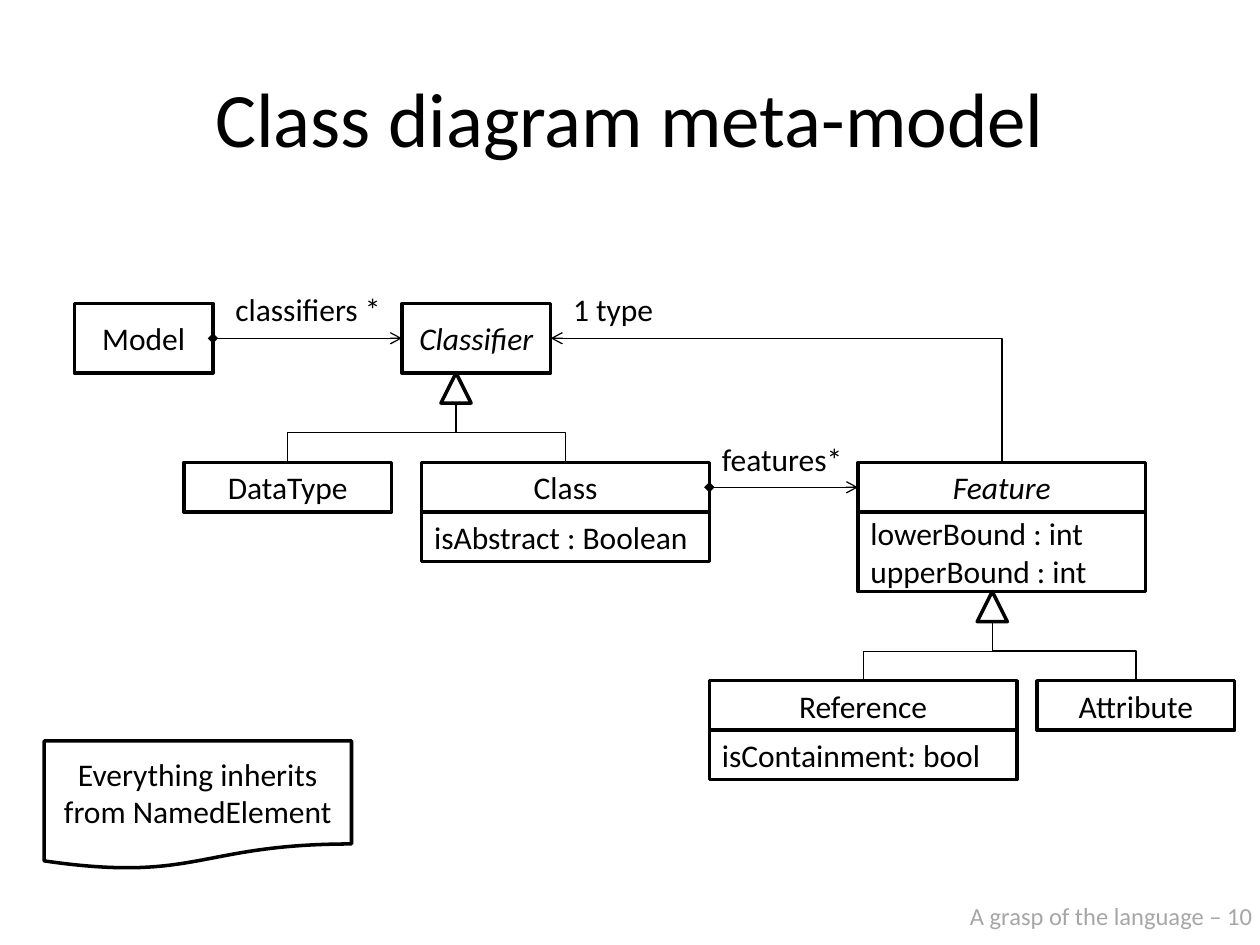
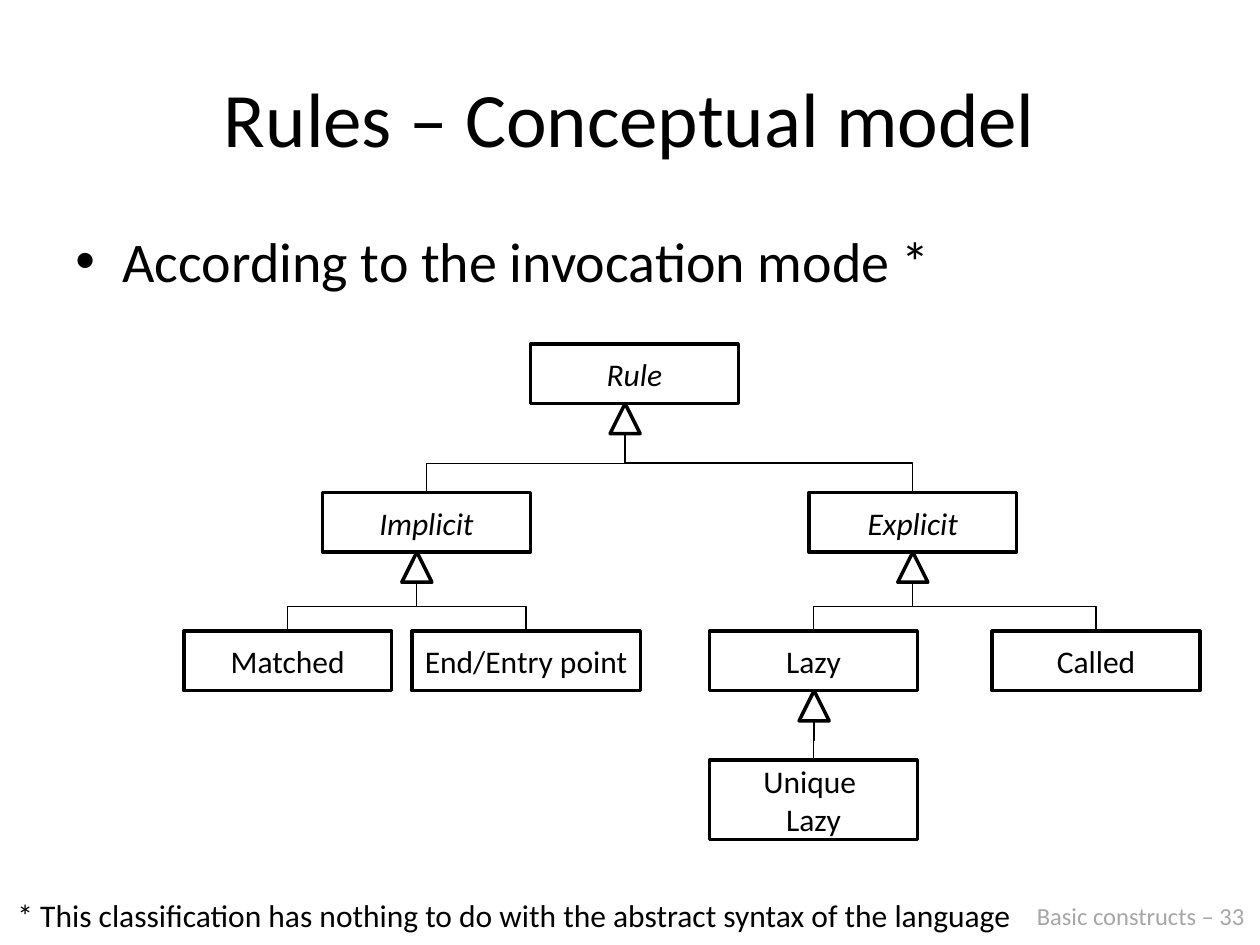
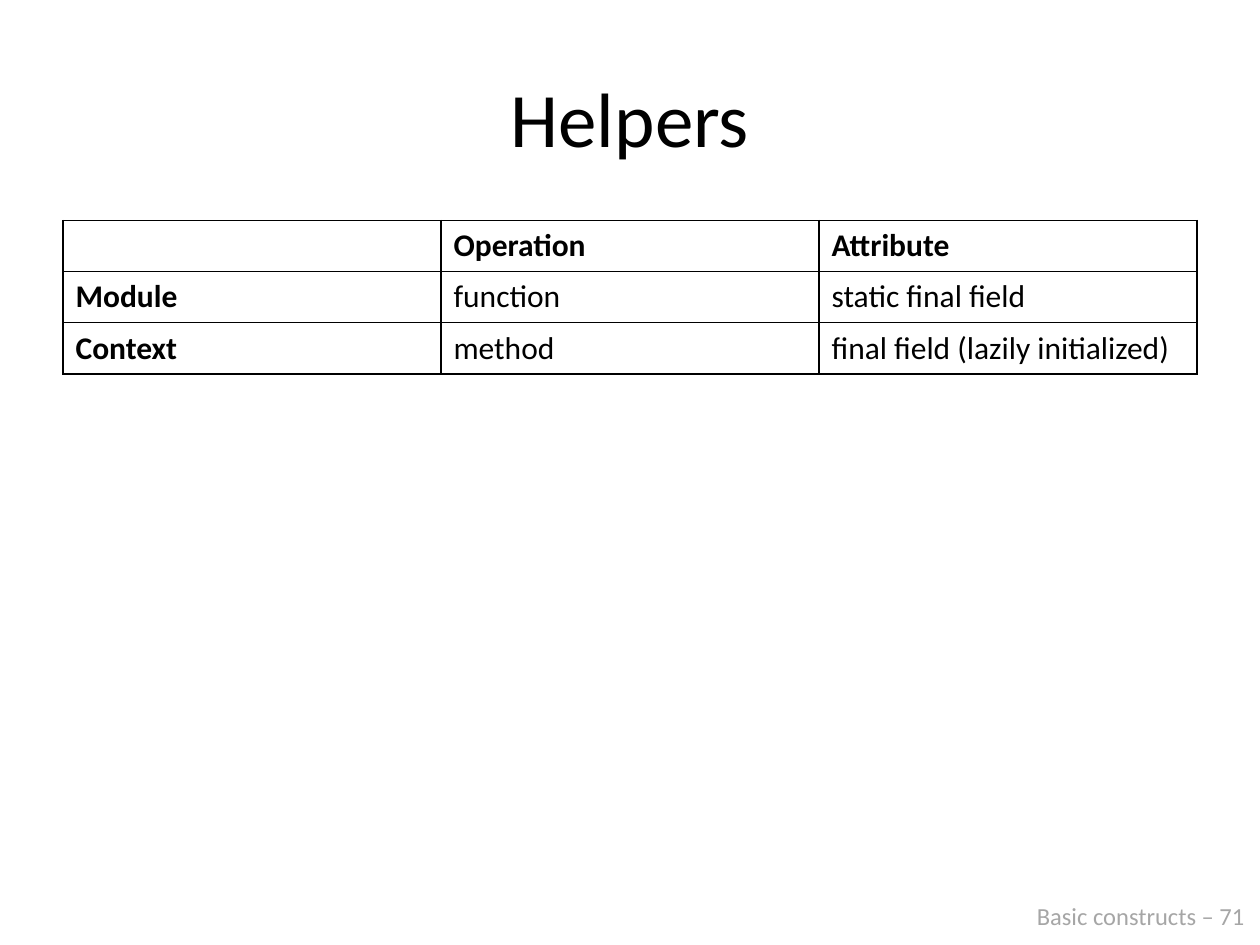
import pptx
import pptx.dml.color
import pptx.enum.shapes
import pptx.enum.text
import pptx.oxml
import pptx.oxml.ns
import pptx.util
from lxml import etree

Pt = pptx.util.Pt
qn = pptx.oxml.ns.qn
SHAPE = pptx.enum.shapes.MSO_SHAPE
CONNECTOR = pptx.enum.shapes.MSO_CONNECTOR
ALIGN = pptx.enum.text.PP_ALIGN
ANCHOR = pptx.enum.text.MSO_ANCHOR

BLACK = pptx.dml.color.RGBColor(0x00, 0x00, 0x00)
WHITE = pptx.dml.color.RGBColor(0xFF, 0xFF, 0xFF)
GREY = pptx.dml.color.RGBColor(0xA6, 0xA6, 0xA6)
FONT = "Calibri"
TRIANGLE = 17.2

# name: (left, top, width, height, italic, attributes, attributes height)
META_CLASSES = {
    "Model": (42.5, 173.5, 79.2, 39.6, False, [], 0),
    "Classifier": (229.7, 173.5, 85, 39.6, True, [], 0),
    "DataType": (105, 264.3, 118.8, 28.3, False, [], 0),
    "Class": (241, 264.3, 164.4, 28.3, False, ["isAbstract : Boolean"], 28.3),
    "Feature": (490.3, 264.3, 164.4, 28.3, True,
                ["lowerBound : int", "upperBound : int"], 45.4),
    "Reference": (405.4, 389, 175.7, 28.3, False, ["isContainment: bool"], 28.3),
    "Attribute": (592.6, 389, 113, 28.3, False, [], 0),
}
META_INHERITANCE = [
    ("Classifier", 260.6, ["DataType", "Class"]),
    ("Feature", 567, ["Reference", "Attribute"]),
]
COMPOSITIONS = [("Model", "Classifier"), ("Class", "Feature")]
ROLES = [
    ("classifiers *", 127.4, 162, 98.6),
    ("features*", 405.4, 247.7, 84.2),
    ("1 type", 320.4, 162, 61.2),
]
NOTE = ["Everything inherits", "from NamedElement"]

RULE_CLASSES = {
    "Rule": (303.1, 196.6, 118.8, 34, True, [], 0),
    "Implicit": (184.3, 281.5, 118.8, 34, True, [], 0),
    "Explicit": (462.2, 281.5, 118.8, 34, True, [], 0),
    "Matched": (105, 360.7, 118.8, 34, False, [], 0),
    "End/Entry point": (235.3, 360.7, 130.6, 34, False, [], 0),
    "Lazy": (405.4, 360.7, 118.8, 34, False, [], 0),
    "Called": (566.9, 360.7, 118.8, 34, False, [], 0),
    "Unique \nLazy": (405.4, 434.4, 118.8, 45.4, False, [], 0),
}
RULE_INHERITANCE = [
    ("Rule", 357.2, ["Implicit", "Explicit"]),
    ("Implicit", 238.2, ["Matched", "End/Entry point"]),
    ("Explicit", 521.6, ["Lazy", "Called"]),
    ("Lazy", 465.2, ["Unique \nLazy"]),
]
RULE_BULLET = "According to the invocation mode *"
RULE_FOOTNOTE = ("* This classification has nothing to do with "
                 "the abstract syntax of the language")

HELPERS = [
    ["", "Operation", "Attribute"],
    ["Module", "function", "static final field"],
    ["Context", "method", "final field (lazily initialized)"],
]


def write(tf, lines, size=18, color=BLACK, align=ALIGN.LEFT, italic=False, bold=False):
    for i, line in enumerate(lines):
        p = tf.paragraphs[0] if i == 0 else tf.add_paragraph()
        p.alignment = align
        r = p.add_run()
        r.text = line
        r.font.name = FONT
        r.font.size = Pt(size)
        r.font.color.rgb = color
        r.font.italic = italic
        r.font.bold = bold


def add_text(s, text, x, y, w, h, wrap=False, **style):
    tf = s.shapes.add_textbox(Pt(x), Pt(y), Pt(w), Pt(h)).text_frame
    tf.word_wrap = wrap
    if not wrap:
        tf.auto_size = pptx.enum.text.MSO_AUTO_SIZE.SHAPE_TO_FIT_TEXT
    write(tf, [text], **style)
    return tf


def add_outline(s, kind, x, y, w, h, lines=(), **style):
    sp = s.shapes.add_shape(kind, Pt(x), Pt(y), Pt(w), Pt(h))
    sp.shadow.inherit = False
    sp.fill.solid()
    sp.fill.fore_color.rgb = WHITE
    sp.line.color.rgb = BLACK
    sp.line.width = Pt(2)
    sp.text_frame.vertical_anchor = ANCHOR.MIDDLE
    write(sp.text_frame, lines, **style)


def add_line(s, kind, x1, y1, x2, y2, head=None, tail=None):
    c = s.shapes.add_connector(kind, Pt(x1), Pt(y1), Pt(x2), Pt(y2))
    c.line.color.rgb = BLACK
    c.line.width = Pt(0.75)
    ln = c.line._get_or_add_ln()
    for tag, end in (("a:headEnd", head), ("a:tailEnd", tail)):
        if end:
            etree.SubElement(ln, qn(tag)).set("type", end)
    spPr = c._element.spPr
    etree.SubElement(spPr, qn("a:effectLst"))
    return spPr


def add_upward_elbow(s, x1, y1, x2, y2, tail=None, preset="bentConnector3"):
    cx, cy = (x1 + x2) / 2, (y1 + y2) / 2
    half_w, half_h = (y1 - y2) / 2, (x1 - x2) / 2
    spPr = add_line(s, CONNECTOR.ELBOW, cx - half_w, cy + half_h,
                    cx + half_w, cy - half_h, tail=tail)
    spPr.find(qn("a:xfrm")).set("rot", "16200000")
    spPr.find(qn("a:prstGeom")).set("prst", preset)


def add_classes(s, classes, inheritance):
    for name, (x, y, w, h, italic, attributes, attributes_h) in classes.items():
        add_outline(s, SHAPE.RECTANGLE, x, y, w, h, name.split("\n"),
                    align=ALIGN.CENTER, italic=italic)
        if attributes:
            add_outline(s, SHAPE.RECTANGLE, x, y + h, w, attributes_h, attributes)
    for parent, apex, children in inheritance:
        _, y, _, h, _, _, attributes_h = classes[parent]
        bottom = y + h + attributes_h
        add_outline(s, SHAPE.ISOSCELES_TRIANGLE, apex - TRIANGLE / 2, bottom,
                    TRIANGLE, TRIANGLE)
        for child in children:
            x, y, w = classes[child][:3]
            add_upward_elbow(s, x + w / 2, y, apex, bottom + TRIANGLE)


def add_slide(prs, title, section, number, footer_x, footer_w):
    s = prs.slides.add_slide(prs.slide_layouts[6])
    tf = add_text(s, title, 36, 21.6, 648, 90, wrap=True, size=44, align=ALIGN.CENTER)
    tf.vertical_anchor = ANCHOR.MIDDLE
    add_text(s, f"{section} – {number}", footer_x, 511.2, footer_w, 24.5,
             size=14, color=GREY)
    return s


def build_meta_model(prs):
    s = add_slide(prs, "Class diagram meta-model", "A grasp of the language", 10, 547.2, 177.1)
    add_classes(s, META_CLASSES, META_INHERITANCE)
    for owner, part in COMPOSITIONS:
        x, y, w, h = META_CLASSES[owner][:4]
        add_line(s, CONNECTOR.STRAIGHT, x + w, y + h / 2, META_CLASSES[part][0], y + h / 2,
                 head="diamond", tail="arrow")
    fx, fy, fw = META_CLASSES["Feature"][:3]
    cx, cy, cw, ch = META_CLASSES["Classifier"][:4]
    add_upward_elbow(s, fx + fw / 2, fy, cx + cw, cy + ch / 2, "arrow", "bentConnector2")
    for role, x, y, w in ROLES:
        add_text(s, role, x, y, w, 28.8)
    add_outline(s, SHAPE.FLOWCHART_DOCUMENT, 25.2, 423.4, 175.7, 73.4, NOTE,
                align=ALIGN.CENTER)


def build_rules(prs):
    s = add_slide(prs, "Rules – Conceptual model", "Basic constructs", 33, 585.4, 134.6)
    tf = add_text(s, RULE_BULLET, 36, 126, 648, 356.4, wrap=True, size=32)
    pPr = tf.paragraphs[0]._p.get_or_add_pPr()
    pPr.set("marL", str(Pt(27)))
    pPr.set("indent", str(-Pt(27)))
    etree.SubElement(pPr, qn("a:buFont")).set("typeface", "Arial")
    etree.SubElement(pPr, qn("a:buChar")).set("char", "•")
    add_classes(s, RULE_CLASSES, RULE_INHERITANCE)
    add_text(s, RULE_FOOTNOTE, 2.9, 508.3, 589, 28.8)


def add_borders(cell):
    tcPr = cell._tc.get_or_add_tcPr()
    for side in ("a:lnL", "a:lnR", "a:lnT", "a:lnB"):
        ln = etree.SubElement(tcPr, qn(side))
        ln.set("w", str(Pt(1)))
        fill = etree.SubElement(ln, qn("a:solidFill"))
        etree.SubElement(fill, qn("a:srgbClr")).set("val", str(BLACK))


def build_helpers(prs):
    s = add_slide(prs, "Helpers", "Basic constructs", 71, 585.4, 134.6)
    table = s.shapes.add_table(3, 3, Pt(36), Pt(126), Pt(648), Pt(87.6)).table
    table.first_row = False
    table.horz_banding = False
    for i, row in enumerate(HELPERS):
        for j, text in enumerate(row):
            cell = table.cell(i, j)
            add_borders(cell)
            cell.fill.background()
            if text:
                write(cell.text_frame, [text], bold=i == 0 or j == 0)


def main():
    prs = pptx.Presentation()
    prs.slide_width = Pt(720)
    prs.slide_height = Pt(540)
    build_meta_model(prs)
    build_rules(prs)
    build_helpers(prs)
    prs.save("out.pptx")


if __name__ == "__main__":
    main()
